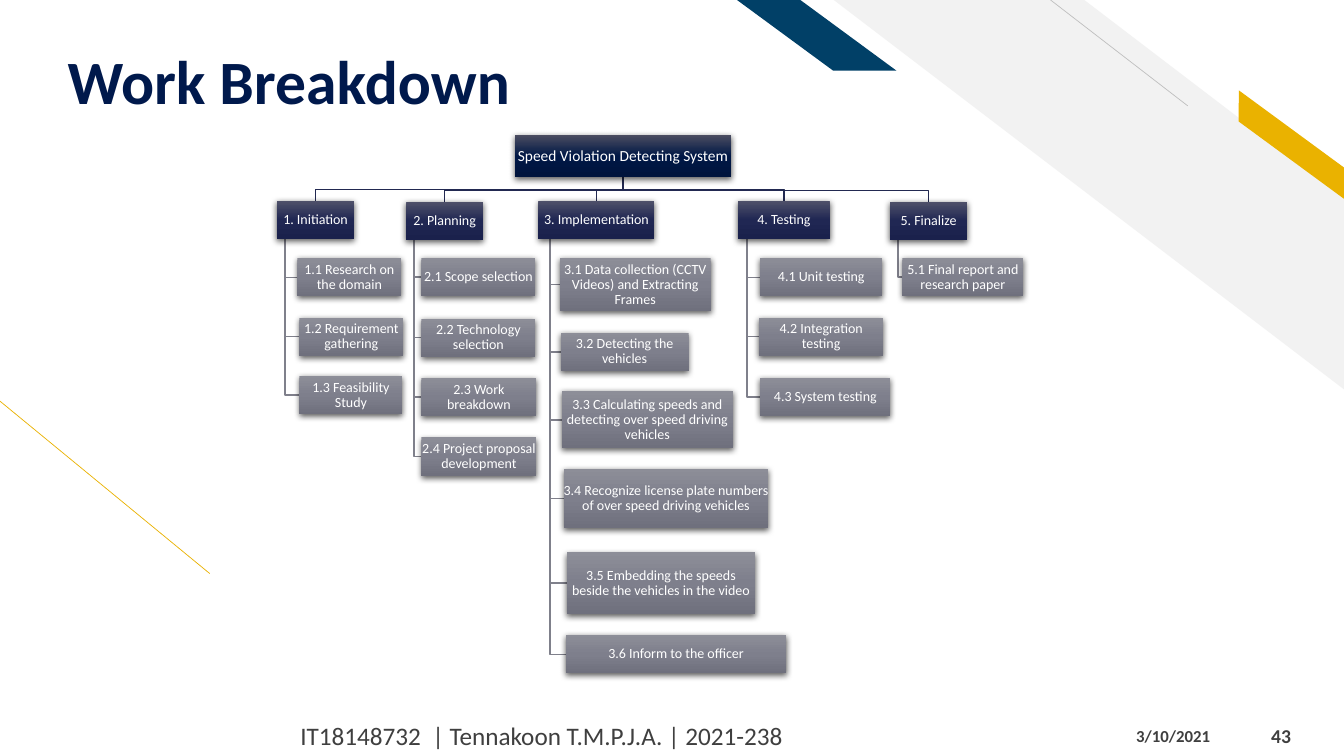
from copy import deepcopy
from dataclasses import dataclass

from lxml import etree
from pptx import Presentation
from pptx import util as u
from pptx.dml.color import RGBColor
from pptx.enum import shapes, text
from pptx.oxml.ns import qn


@dataclass(frozen=True)
class Theme:
    """Colours and type sizes of the slide."""
    font: str = "Calibri"
    title: str = "00194C"
    footer: str = "3F3F3F"
    label: str = "FFFFFF"
    gold: str = "EAB200"
    navy: str = "014067"
    band: str = "F2F2F2"
    hairline: str = "BFBFBF"
    phase_line: str = "222951"
    task_line: str = "7F808B"
    root_fill: tuple = ("4B4D61", "001745", "00143D")
    phase_fill: tuple = ("50526A", "202753", "1A214C")
    task_fill: tuple = ("8D8E98", "7E7F8C", "6F707D")
    title_size: int = 44
    footer_size: int = 18
    number_size: int = 14
    date_size: int = 12
    root_size: int = 11
    node_size: int = 10


THEME = Theme()
ROOT = ("Speed Violation Detecting System", (5.11, 1.34, 2.14, 0.42))

PHASES = [
    ("1. Initiation", (2.75, 1.99, 0.76, 0.38), [
        ("1.1 Research on the domain", 0.2, 0.19, 1.03, 0.38),
        ("1.2 Requirement gathering", 0.22, 0.21, 1.03, 0.38),
        ("1.3 Feasibility Study", 0.22, 0.2, 1.02, 0.38)]),
    ("2. Planning", (4.03, 2, 0.76, 0.38), [
        ("2.1 Scope selection", 0.15, 0.18, 1.13, 0.38),
        ("2.2 Technology selection", 0.15, 0.22, 1.13, 0.38),
        ("2.3 Work breakdown", 0.15, 0.21, 1.14, 0.38),
        ("2.4 Project proposal development", 0.15, 0.21, 1.14, 0.38)]),
    ("3. Implementation", (5.34, 1.99, 1.15, 0.38), [
        ("3.1 Data collection (CCTV Videos) and Extracting Frames", 0.21, 0.19, 1.5, 0.53),
        ("3.2 Detecting the vehicles", 0.22, 0.21, 1.27, 0.38),
        ("3.3 Calculating speeds and detecting over speed driving vehicles", 0.23, 0.2, 1.7, 0.57),
        ("3.4 Recognize license plate numbers of over speed driving vehicles", 0.25, 0.2, 2.03, 0.59),
        ("3.5 Embedding the speeds beside the vehicles in the video", 0.28, 0.24, 1.87, 0.61),
        ("3.6 Inform to the officer", 0.27, 0.21, 2.19, 0.38)]),
    ("4. Testing", (7.32, 1.99, 0.91, 0.38), [
        ("4.1 Unit testing", 0.22, 0.19, 1.21, 0.38),
        ("4.2 Integration testing", 0.21, 0.21, 1.23, 0.38),
        ("4.3 System testing", 0.22, 0.22, 1.29, 0.38)]),
    ("5. Finalize", (8.83, 2, 0.76, 0.38), [
        ("5.1 Final report and research paper", 0.12, 0.18, 1.2, 0.38)]),
]


def inches(values):
    """Convert a sequence of numbers to lengths."""
    return [u.Inches(value) for value in values]


def apply(target, values):
    """Set attributes of the target from a dict."""
    for name, value in values.items():
        setattr(target, name, value)


def write(frame, wording, size, color, bold=False, align=text.PP_ALIGN.LEFT,
          anchor=text.MSO_ANCHOR.MIDDLE, spacing=1.0, margins=(0.1, 0.05, 0.1, 0.05)):
    """Fill a text frame with one formatted paragraph."""
    left, top, right, bottom = inches(margins)
    apply(frame, {"word_wrap": True, "auto_size": text.MSO_AUTO_SIZE.NONE,
                  "vertical_anchor": anchor, "margin_left": left, "margin_top": top,
                  "margin_right": right, "margin_bottom": bottom})
    paragraph = frame.paragraphs[0]
    apply(paragraph, {"text": wording, "alignment": align, "line_spacing": spacing})
    font = paragraph.runs[0].font
    apply(font, {"name": THEME.font, "size": u.Pt(size), "bold": bold})
    font.color.rgb = RGBColor.from_string(color)


def add_rule(slide, start, end, color):
    """Draw a thin straight line."""
    rule = slide.shapes.add_connector(shapes.MSO_CONNECTOR.STRAIGHT, *inches(start + end))
    rule.line.width = u.Pt(0.5)
    rule.line.color.rgb = RGBColor.from_string(color)
    etree.SubElement(rule._element.spPr, qn("a:effectLst"))


def add_stripe(slide, box, preset, slant, color, rotation=0):
    """Draw a mirrored slanted stripe."""
    stripe = slide.shapes.add_shape(preset, *inches(box))
    stripe.adjustments[0] = slant
    stripe.rotation = rotation
    stripe.shadow.inherit = False
    stripe.fill.solid()
    stripe.fill.fore_color.rgb = RGBColor.from_string(color)
    stripe.line.fill.background()
    stripe._element.spPr.find(qn("a:xfrm")).set("flipH", "1")


def add_branch(slide, points, color):
    """Draw an angled tree branch through the points."""
    start, *rest = [inches(point) for point in points]
    builder = slide.shapes.build_freeform(*start, scale=1.0)
    builder.add_line_segments(rest, close=False)
    branch = builder.convert_to_shape()
    branch.shadow.inherit = False
    branch.fill.background()
    branch.line.width = u.Pt(1)
    branch.line.color.rgb = RGBColor.from_string(color)


def add_node(slide, box, label, size, colors):
    """Draw a shaded tree box with its label."""
    node = slide.shapes.add_shape(shapes.MSO_SHAPE.RECTANGLE, *inches(box))
    node.line.fill.background()
    node.fill.gradient()
    node.fill.gradient_angle = 270
    properties = node._element.spPr
    stops = properties.find(".//" + qn("a:gsLst"))
    stops.insert(1, deepcopy(stops[0]))
    for stop, position, color in zip(node.fill.gradient_stops, (0, 0.5, 1), colors):
        stop.position = position
        stop.color.rgb = RGBColor.from_string(color)
    node.shadow.inherit = False
    shadow = etree.SubElement(properties.find(qn("a:effectLst")), qn("a:outerShdw"),
                              blurRad=str(u.Pt(4.5)), dist=str(u.Pt(1.5)),
                              dir="5400000", algn="ctr", rotWithShape="0")
    shade = etree.SubElement(shadow, qn("a:srgbClr"), val="000000")
    etree.SubElement(shade, qn("a:alpha"), val="63000")
    write(node.text_frame, label, size, THEME.label, align=text.PP_ALIGN.CENTER,
          spacing=0.9, margins=(0, 0.01, 0, 0.01))


def add_phase(slide, box, label, tasks):
    """Draw a phase and stack its tasks below it by indent, gap, width and height."""
    left, top, width, height = box
    stem, bottom = left + width / 10, top + height
    task_boxes, cursor = [], bottom
    for _, indent, gap, task_width, task_height in tasks:
        cursor += gap
        task_boxes.append((left + indent, cursor, task_width, task_height))
        cursor += task_height
    for task_left, task_top, _, task_height in task_boxes:
        middle = task_top + task_height / 2
        add_branch(slide, [(stem, bottom), (stem, middle), (task_left, middle)], THEME.task_line)
    add_node(slide, box, label, THEME.node_size, THEME.phase_fill)
    for task, task_box in zip(tasks, task_boxes):
        add_node(slide, task_box, task[0], THEME.node_size, THEME.task_fill)


def add_tree(slide, box, label, phases):
    """Draw the root box and the phases hanging from it."""
    left, top, width, height = box
    center, bottom = left + width / 2, top + height
    for _, (phase_left, phase_top, phase_width, _), _ in phases:
        middle, bend = phase_left + phase_width / 2, phase_top - 0.11
        add_branch(slide, [(center, bottom), (center, bend), (middle, bend),
                           (middle, phase_top)], THEME.phase_line)
    add_node(slide, box, label, THEME.root_size, THEME.root_fill)
    for phase, phase_box, tasks in phases:
        add_phase(slide, phase_box, phase, tasks)


def add_decoration(slide):
    """Draw the stripes and thin lines of the background."""
    preset = shapes.MSO_SHAPE
    add_rule(slide, (0, 3.98), (2.08, 5.69), THEME.gold)
    add_stripe(slide, (8.27, 0, 5.07, 3.87), preset.DIAGONAL_STRIPE, 0.51, THEME.band)
    add_rule(slide, (10.42, 0), (11.78, 1.05), THEME.hairline)
    add_stripe(slide, (12.07, 1.31, 1.48, 0.25), preset.PARALLELOGRAM, 0.72, THEME.gold, 36.3)
    add_stripe(slide, (7.31, 0, 1.58, 0.7), preset.PARALLELOGRAM, 1.36, THEME.navy)


def add_title(slide, box, wording):
    """Place and format the title placeholder."""
    title = slide.shapes.title
    apply(title, dict(zip(("left", "top", "width", "height"), inches(box))))
    write(title.text_frame, wording, THEME.title_size, THEME.title, True,
          anchor=text.MSO_ANCHOR.BOTTOM, spacing=0.9, margins=(0.1, 0.05, 0.1, 0))


def add_footer(slide):
    """Write the author line, the date and the slide number."""
    for wording, box, size, bold in (
            ("IT18148732  | Tennakoon T.M.P.J.A. | 2021-238", (2.88, 7.1, 7.45, 0.4), THEME.footer_size, False),
            ("3/10/2021", (11.17, 7.15, 1.25, 0.3), THEME.date_size, True),
            ("43", (12.51, 7.1, 0.74, 0.4), THEME.number_size, True)):
        note = slide.shapes.add_textbox(*inches(box))
        write(note.text_frame, wording, size, THEME.footer, bold)


def main():
    """Build the slide and save it."""
    deck = Presentation()
    apply(deck, {"slide_width": u.Inches(13.33), "slide_height": u.Inches(7.5)})
    slide = deck.slides.add_slide(deck.slide_layouts[5])
    add_decoration(slide)
    add_title(slide, (0.57, 0.23, 11.85, 0.94), "Work Breakdown")
    add_tree(slide, ROOT[1], ROOT[0], PHASES)
    add_footer(slide)
    deck.save("out.pptx")


if __name__ == "__main__":
    main()
